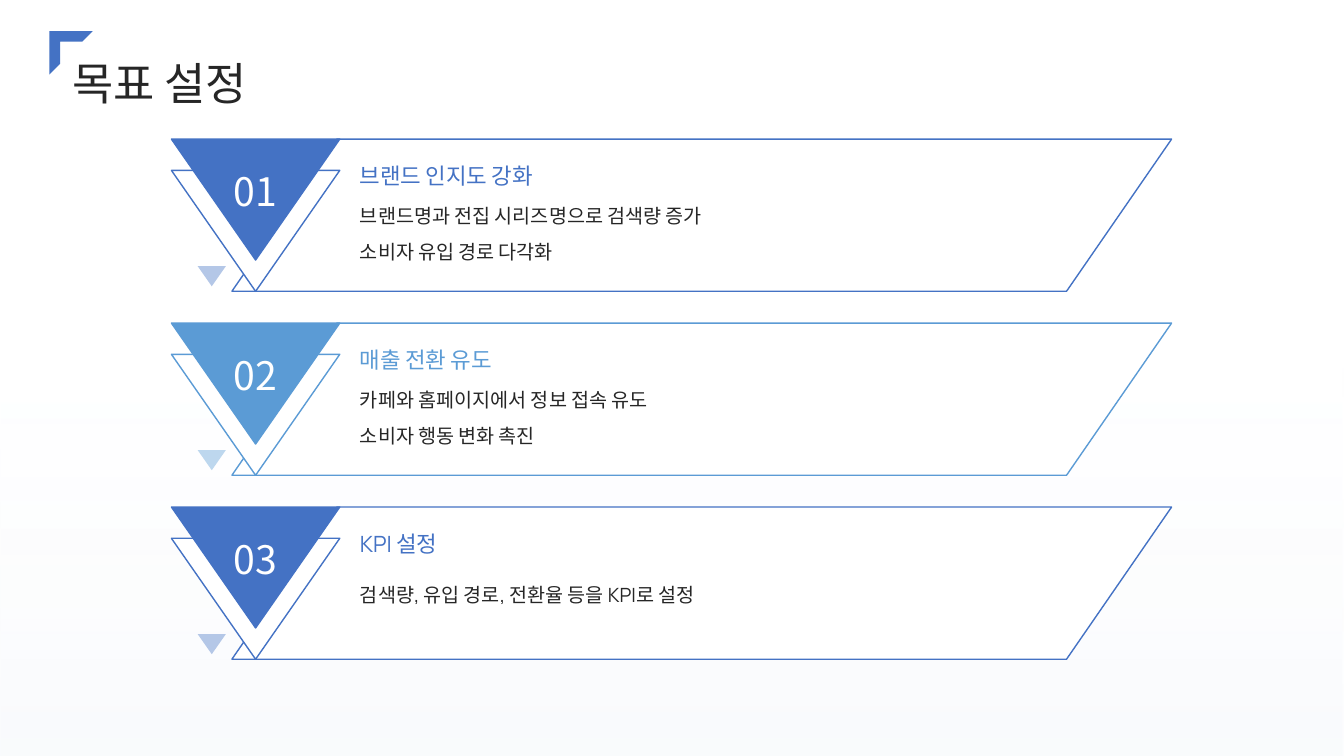
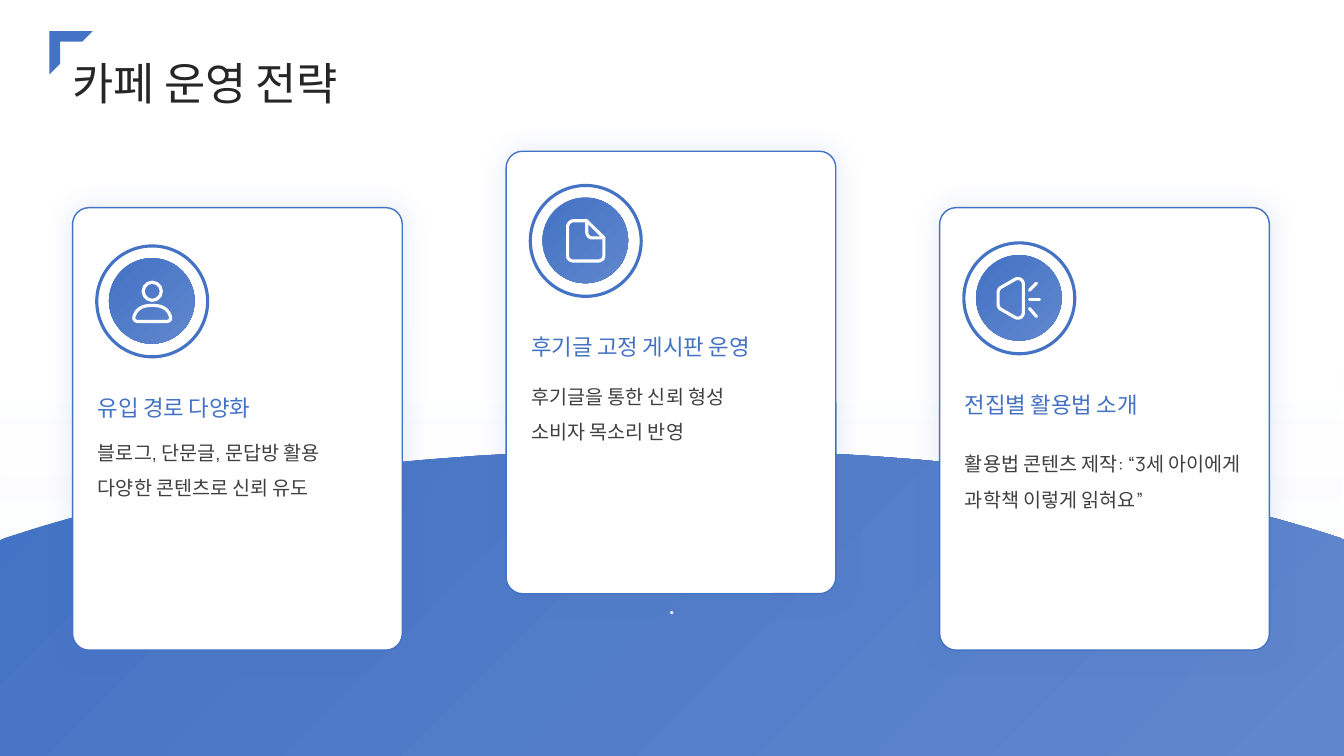
from pptx import Presentation
from pptx.dml.color import RGBColor
from pptx.enum.shapes import MSO_CONNECTOR, MSO_SHAPE as SHAPE
from pptx.enum.text import MSO_ANCHOR as ANCHOR, PP_ALIGN as ALIGN
from pptx.oxml.ns import qn
from pptx.util import Inches, Pt
from lxml.etree import SubElement

WIDTH, HEIGHT = 13.33, 7.5
COLORS = {
    "blue": "4472C4", "blue_end": "6087CD", "blue_pale": "B4C7E7",
    "sky": "5B9BD5", "sky_pale": "BDD7EE", "mist": "DAE3F3",
    "white": "FFFFFF", "ink": "262626", "gray": "404040",
}
STYLES = {
    "title": {"size": 32, "name": "Manrope", "color": "ink", "spacing": 1.1},
    "number": {"size": 28, "name": "Noto Sans CJK SC", "color": "white", "spacing": 1.3},
    "goal": {"size": 16, "name": "Manrope", "spacing": 1.3},
    "goal_body": {"size": 14, "name": "Manrope", "color": "ink", "spacing": 1.5},
    "card": {"size": 16, "name": "Manrope", "color": "blue", "spacing": 1.2},
    "card_body": {"size": 14, "name": "Manrope", "color": "gray", "spacing": 1.5},
    "hill": {"size": 18, "name": "Lato", "color": "white", "spacing": 1.1},
}
BLUE_GRADIENT = [(0, "blue", 100), (1, "blue_end", 100)]
PAGE_GRADIENT = [(0, "mist", 15), (0.53, "white", 9)]
ICON_STROKE = 2.25
PAIR_LIFT = 0.11


def rgb(name):
    return RGBColor.from_string(COLORS[name])


def write(frame, lines, style, anchor=ANCHOR.TOP, align=ALIGN.LEFT, **changes):
    look = {**STYLES[style], **changes}
    frame_format = {"word_wrap": True, "vertical_anchor": anchor, "margin_left": 0,
                    "margin_top": 0, "margin_right": 0, "margin_bottom": 0}
    for key, value in frame_format.items():
        setattr(frame, key, value)
    for i, line in enumerate(lines):
        paragraph = frame.add_paragraph() if i else frame.paragraphs[0]
        paragraph.alignment, paragraph.line_spacing = align, look["spacing"]
        run = paragraph.add_run()
        run.text = line
        run.font.size, run.font.name = Pt(look["size"]), look["name"]
        run.font.color.rgb = rgb(look["color"])
        SubElement(run.font._element, qn("a:ea"), typeface=look["name"])


def add_text(slide, box, lines, style, **options):
    label = slide.shapes.add_textbox(*map(Inches, box))
    write(label.text_frame, lines, style, **options)


def add_body(slide, box, lines, style):
    """Place body text; a body of several lines starts a little higher."""
    left, top, width, height = box
    lift = PAIR_LIFT if len(lines) > 1 else 0
    add_text(slide, (left, top - lift, width, height), lines, style)


def paint(shape, fill=None, line=None, width=1):
    shape.shadow.inherit = False
    if fill:
        shape.fill.solid()
        shape.fill.fore_color.rgb = rgb(fill)
    else:
        shape.fill.background()
    if line:
        shape.line.color.rgb, shape.line.width = rgb(line), Pt(width)
    else:
        shape.line.fill.background()


def paint_gradient(shape, stops, angle):
    """Fill with (position, colour, opacity) stops; angle runs clockwise."""
    paint(shape)
    shape.fill.gradient()
    shape.fill.gradient_angle = 360 - angle
    for stop, (position, color, opacity) in zip(shape.fill.gradient_stops, stops):
        stop.position, stop.color.rgb = position, rgb(color)
        if opacity < 100:
            srgb = stop._gs.find(qn("a:srgbClr"))
            SubElement(srgb, qn("a:alpha"), val=str(opacity * 1000))


def add_glow(shape):
    effects = shape._element.spPr.find(qn("a:effectLst"))
    glow = SubElement(effects, qn("a:outerShdw"), blurRad=str(Pt(20)), dist="0",
                      dir="16200000", algn="ctr", rotWithShape="0")
    color = SubElement(glow, qn("a:srgbClr"), val=COLORS["blue"])
    SubElement(color, qn("a:alpha"), val="15000")


def add_preset(slide, kind, box, adjust=(), **look):
    shape = slide.shapes.add_shape(kind, *map(Inches, box))
    for i, value in enumerate(adjust):
        shape.adjustments[i] = value
    paint(shape, **look)
    return shape


def trace(points, steps=16):
    """Expand entries of 2 numbers (line) or 6 (Bezier curve) into plain points."""
    path_points = [points[0]]
    for entry in points[1:]:
        if len(entry) == 2:
            path_points.append(entry)
            continue
        controls = [path_points[-1], entry[:2], entry[2:4], entry[4:]]
        for t in (n / steps for n in range(1, steps + 1)):
            weights = ((1 - t) ** 3, 3 * t * (1 - t) ** 2, 3 * t * t * (1 - t), t ** 3)
            path_points.append(tuple(
                sum(w * c[axis] for w, c in zip(weights, controls)) for axis in (0, 1)))
    return path_points


def add_outline(slide, points, origin=(0, 0), close=True):
    placed = [(Inches(x + origin[0]), Inches(y + origin[1])) for x, y in trace(points)]
    builder = slide.shapes.build_freeform(*placed[0])
    builder.add_line_segments(placed[1:], close=close)
    return builder.convert_to_shape()


def add_page(deck, title):
    slide = deck.slides.add_slide(deck.slide_layouts[5])
    wash = add_preset(slide, SHAPE.RECTANGLE, (0, 0, WIDTH, HEIGHT))
    paint_gradient(wash, PAGE_GRADIENT, 270)
    slide.shapes._spTree.insert(2, wash._element)
    heading = slide.shapes.title
    place = {"left": 0.72, "top": 0.54, "width": 11.88, "height": 0.51}
    for key, value in place.items():
        setattr(heading, key, Inches(value))
    write(heading.text_frame, [title], "title", anchor=ANCHOR.MIDDLE)
    add_preset(slide, SHAPE.HALF_FRAME, (0.49, 0.31, 0.43, 0.43),
               (0.24, 0.25), fill="blue")
    return slide


def add_goal(slide, left, top, number, color, pale, heading, lines):
    add_preset(slide, SHAPE.PARALLELOGRAM, (left + 0.6, top, 9.32, 1.51),
               (0.69,), fill="white", line=color)
    triangles = [
        ((left, top + 0.31, 1.67, 1.2), "white", color),
        ((left, top, 1.67, 1.2), color, color),
        ((left + 0.26, top + 1.26, 0.28, 0.2), pale, None),
    ]
    for box, fill, line in triangles:
        triangle = add_preset(slide, SHAPE.ISOSCELES_TRIANGLE, box, fill=fill, line=line)
        triangle.rotation = 180
    add_text(slide, (left + 0.45, top + 0.14, 0.76, 0.58), [number], "number",
             align=ALIGN.CENTER)
    add_text(slide, (left + 1.87, top + 0.15, 7.09, 0.47), [heading], "goal", color=color)
    add_body(slide, (left + 1.87, top + 0.64, 7.09, 0.71), lines, "goal_body")


def add_hill(slide):
    hill = add_outline(slide, [
        (WIDTH / 2, 4.46), (9.34, 4.46, 11.72, 4.81, 13.3, 5.34), (WIDTH, 5.36),
        (WIDTH, HEIGHT), (0, HEIGHT), (0, 5.36), (0.04, 5.34),
        (1.61, 4.81, 4, 4.46, WIDTH / 2, 4.46)])
    paint_gradient(hill, BLUE_GRADIENT, 45)
    write(hill.text_frame, ["."], "hill", anchor=ANCHOR.MIDDLE, align=ALIGN.CENTER)


def stroke_white(shape):
    shape.line.color.rgb, shape.line.width = rgb("white"), Pt(ICON_STROKE)
    shape._element.spPr.find(qn("a:ln")).set("cap", "rnd")


def draw_icon(slide, center, outlines):
    for points, close in outlines:
        outline = add_outline(slide, points, center, close)
        paint(outline)
        stroke_white(outline)


def draw_person(slide, x, y):
    add_preset(slide, SHAPE.OVAL, (x - 0.09, y - 0.19, 0.18, 0.18),
               line="white", width=ICON_STROKE)
    shoulders = [
        (0, 0.04), (-0.12, 0.04, -0.16, 0.09, -0.18, 0.15),
        (-0.19, 0.18, -0.17, 0.2, -0.14, 0.2), (0.14, 0.2),
        (0.17, 0.2, 0.19, 0.18, 0.18, 0.15), (0.16, 0.09, 0.12, 0.04, 0, 0.04)]
    draw_icon(slide, (x, y), [(shoulders, True)])


def draw_document(slide, x, y):
    sheet = [
        (0.01, -0.2), (-0.12, -0.2), (-0.15, -0.2, -0.18, -0.17, -0.18, -0.14),
        (-0.18, 0.15), (-0.18, 0.18, -0.15, 0.2, -0.12, 0.2), (0.12, 0.2),
        (0.15, 0.2, 0.18, 0.18, 0.18, 0.15), (0.18, -0.03)]
    fold = [(0.01, -0.2), (0.01, -0.09), (0.01, -0.06, 0.03, -0.03, 0.06, -0.03),
            (0.18, -0.03)]
    draw_icon(slide, (x, y), [(sheet, True), (fold, False)])


def draw_megaphone(slide, x, y):
    horn = [
        (0.04, -0.14), (0.04, 0.14), (0.04, 0.18, 0, 0.21, -0.04, 0.19),
        (-0.18, 0.11), (-0.2, 0.1, -0.21, 0.08, -0.21, 0.06), (-0.21, -0.06),
        (-0.21, -0.08, -0.2, -0.1, -0.18, -0.11), (-0.04, -0.19),
        (0, -0.21, 0.04, -0.18, 0.04, -0.14)]
    draw_icon(slide, (x, y), [(horn, True)])
    for x1, y1, x2, y2 in [(0.1, -0.08, 0.17, -0.15), (0.1, 0.01, 0.2, 0.01),
                           (0.1, 0.1, 0.17, 0.18)]:
        ray = slide.shapes.add_connector(
            MSO_CONNECTOR.STRAIGHT, *map(Inches, (x + x1, y + y1, x + x2, y + y2)))
        stroke_white(ray)
        SubElement(ray._element.spPr, qn("a:effectLst"))


def add_card(slide, left, top, badge_top, draw_symbol, heading, lines):
    panel = add_preset(slide, SHAPE.ROUNDED_RECTANGLE, (left, top, 3.27, 4.39),
                       (0.05,), fill="white", line="blue")
    add_glow(panel)
    x, y = left + 0.79, top + badge_top + 0.55
    disc = add_preset(slide, SHAPE.OVAL, (x - 0.43, y - 0.43, 0.85, 0.85))
    paint_gradient(disc, BLUE_GRADIENT, 45)
    add_preset(slide, SHAPE.OVAL, (x - 0.55, y - 0.55, 1.1, 1.1), line="blue", width=2.25)
    draw_symbol(slide, x, y)
    text_left = left + 0.25
    add_text(slide, (text_left, top + badge_top + 1.22, 2.79, 0.71), [heading], "card",
             anchor=ANCHOR.MIDDLE)
    add_body(slide, (text_left, top + 2.31, 2.79, 1.94), lines, "card_body")


def build_goals(deck):
    slide = add_page(deck, "목표 설정")
    goals = [
        ("01", "blue", "blue_pale", "브랜드 인지도 강화",
         ["브랜드명과 전집 시리즈명으로 검색량 증가", "소비자 유입 경로 다각화"]),
        ("02", "sky", "sky_pale", "매출 전환 유도",
         ["카페와 홈페이지에서 정보 접속 유도", "소비자 행동 변화 촉진"]),
        ("03", "blue", "blue_pale", "KPI 설정",
         ["검색량, 유입 경로, 전환율 등을 KPI로 설정"]),
    ]
    first, last = 1.38, 5.03
    step = (last - first) / (len(goals) - 1)
    for i, goal in enumerate(goals):
        add_goal(slide, 1.7, first + i * step, *goal)


def build_strategy(deck):
    slide = add_page(deck, "카페 운영 전략")
    add_hill(slide)
    cards = [
        (2.06, 0.38, draw_person, "유입 경로 다양화",
         ["블로그, 단문글, 문답방 활용", "다양한 콘텐츠로 신뢰 유도"]),
        (1.5, 0.34, draw_document, "후기글 고정 게시판 운영",
         ["후기글을 통한 신뢰 형성", "소비자 목소리 반영"]),
        (2.06, 0.35, draw_megaphone, "전집별 활용법 소개",
         ["활용법 콘텐츠 제작: “3세 아이에게 과학책 이렇게 읽혀요”"]),
    ]
    for i, card in enumerate(cards):
        add_card(slide, 0.72 + i * 4.3, *card)


def main():
    deck = Presentation()
    deck.slide_width, deck.slide_height = Inches(WIDTH), Inches(HEIGHT)
    build_goals(deck)
    build_strategy(deck)
    deck.save("out.pptx")


if __name__ == "__main__":
    main()
